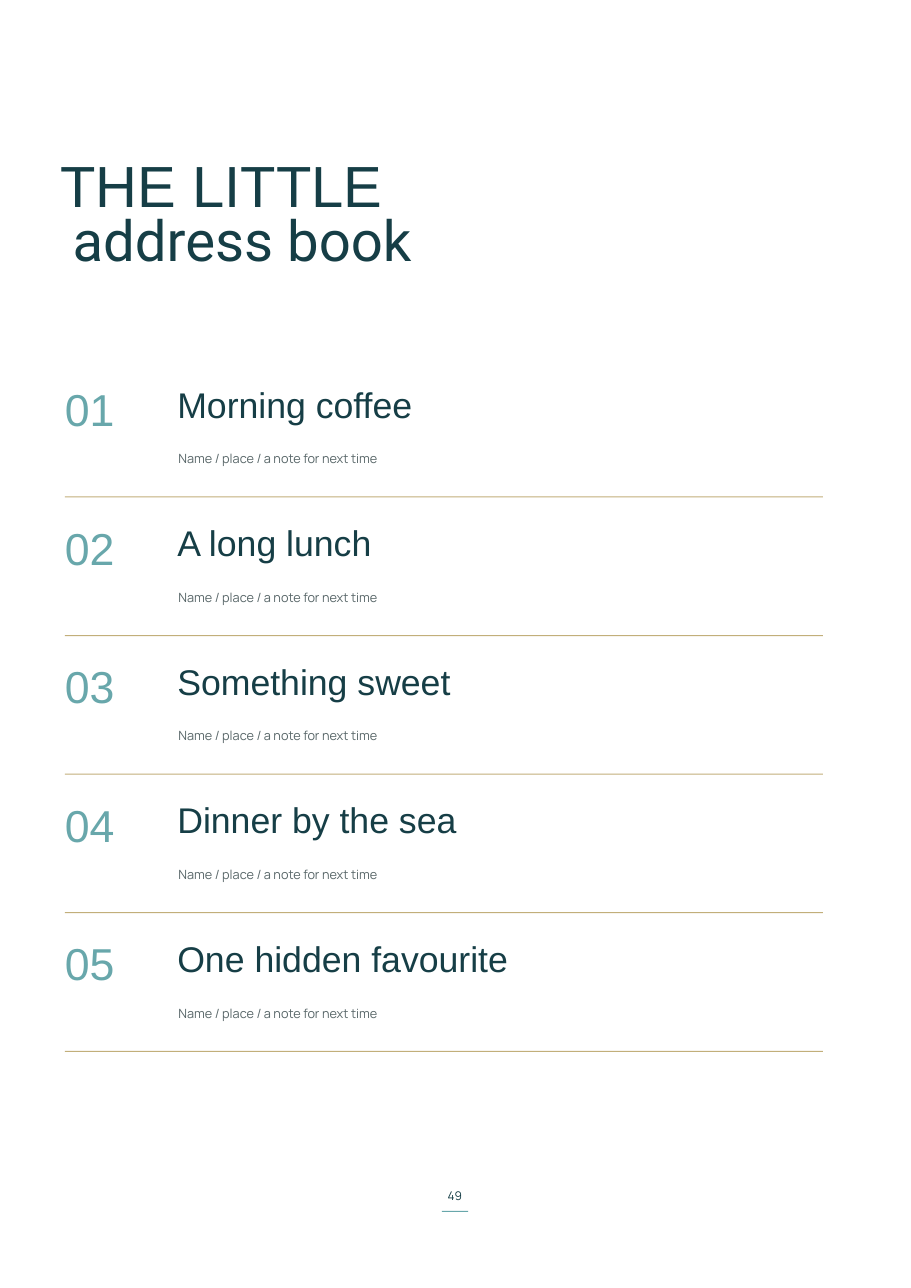
from pptx import Presentation
from pptx.dml.color import RGBColor
from pptx.enum.shapes import MSO_SHAPE
from pptx.enum.text import MSO_ANCHOR, MSO_AUTO_SIZE, PP_ALIGN
from pptx.util import Inches, Pt

INK, TEAL, GOLD, GREY = "163E46", "68A7AB", "C2AF7A", "596769"
ENTRIES = ["Morning coffee", "A long lunch", "Something sweet",
           "Dinner by the sea", "One hidden favourite"]
FIRST_ROW, ROW_STEP = 29.77, 10.76
HAIRLINE = 0.08


def colour(hex_string):
    return RGBColor.from_string(hex_string)


class AddressPage:
    """Draws on one page; every area is left, top, width, height in percent of the page."""

    def __init__(self, deck):
        self.deck = deck
        self.page = deck.slides.add_slide(deck.slide_layouts[5])

    def measure(self, area):
        across, down = self.deck.slide_width, self.deck.slide_height
        return [round(share * side / 100)
                for share, side in zip(area, (across, down, across, down))]

    def set_text(self, box, words, font, size, leading, ink, align=PP_ALIGN.LEFT):
        frame = box.text_frame
        frame.margin_left = frame.margin_top = 0
        frame.margin_right = frame.margin_bottom = 0
        frame.word_wrap = True
        frame.auto_size = MSO_AUTO_SIZE.NONE
        frame.vertical_anchor = MSO_ANCHOR.TOP
        para = frame.paragraphs[0]
        para.text = words
        para.alignment = align
        para.line_spacing = Pt(leading)
        para.space_before = Pt(0)
        para.font.name = font
        para.font.size = Pt(size)
        para.font.color.rgb = colour(ink)

    def title(self, area, *style):
        box = self.page.shapes.title
        box.left, box.top, box.width, box.height = self.measure(area)
        self.set_text(box, *style)

    def text(self, area, *style):
        self.set_text(self.page.shapes.add_textbox(*self.measure(area)), *style)

    def rule(self, left, top, width, fill):
        area = self.measure((left, top, width, HAIRLINE))
        bar = self.page.shapes.add_shape(MSO_SHAPE.RECTANGLE, *area)
        bar.shadow.inherit = False
        bar.fill.solid()
        bar.fill.fore_color.rgb = colour(fill)
        bar.line.fill.background()

    def entry(self, number, heading):
        top = FIRST_ROW + (number - 1) * ROW_STEP
        self.text((7.13, top, 9.19, 6.33), f"{number:02}", "Arial", 29.2, 34.1, TEAL)
        self.text((19.47, top, 70.62, 5.13), heading, "Arial", 23.3, 27.3, INK)
        self.text((19.59, top + 4.96, 70.25, 2.4),
                  "Name / place / a note for next time", "Manrope", 8.3, 12.4, GREY)
        self.rule(7.13, top + 8.78, 83.19, GOLD)


def main():
    deck = Presentation()
    deck.slide_width, deck.slide_height = Inches(8.27), Inches(11.69)
    page = AddressPage(deck)
    page.title((6.65, 11.72, 86.46, 8.13), "THE LITTLE", "Arial", 37.9, 44.4, INK)
    page.text((7.98, 16.08, 85.13, 7.87), "address book", "Roboto", 36.8, 43, INK)
    for number, heading in enumerate(ENTRIES, start=1):
        page.entry(number, heading)
    page.text((47.16, 92.04, 5.56, 2.22), "49", "Manrope", 7.8, 11.7, INK, PP_ALIGN.CENTER)
    page.rule(48.49, 94.01, 2.9, TEAL)
    deck.save("out.pptx")


if __name__ == "__main__":
    main()
